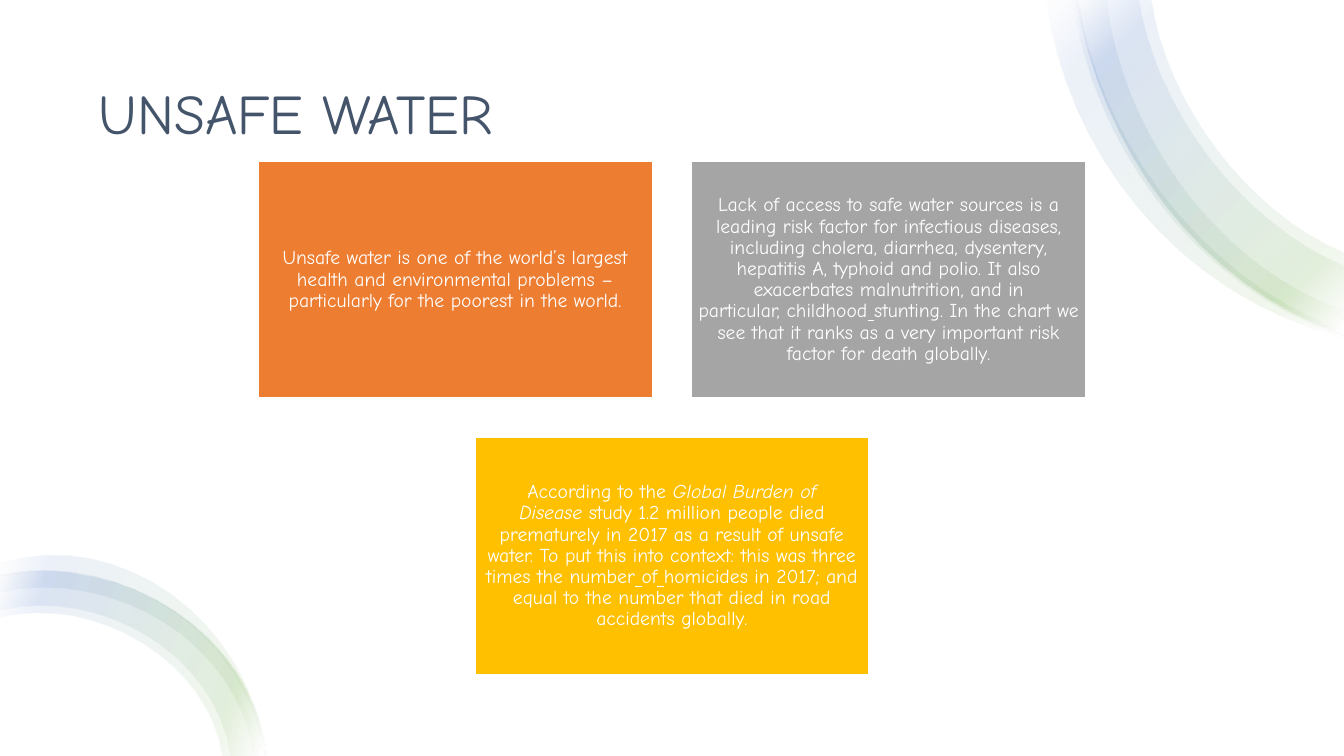
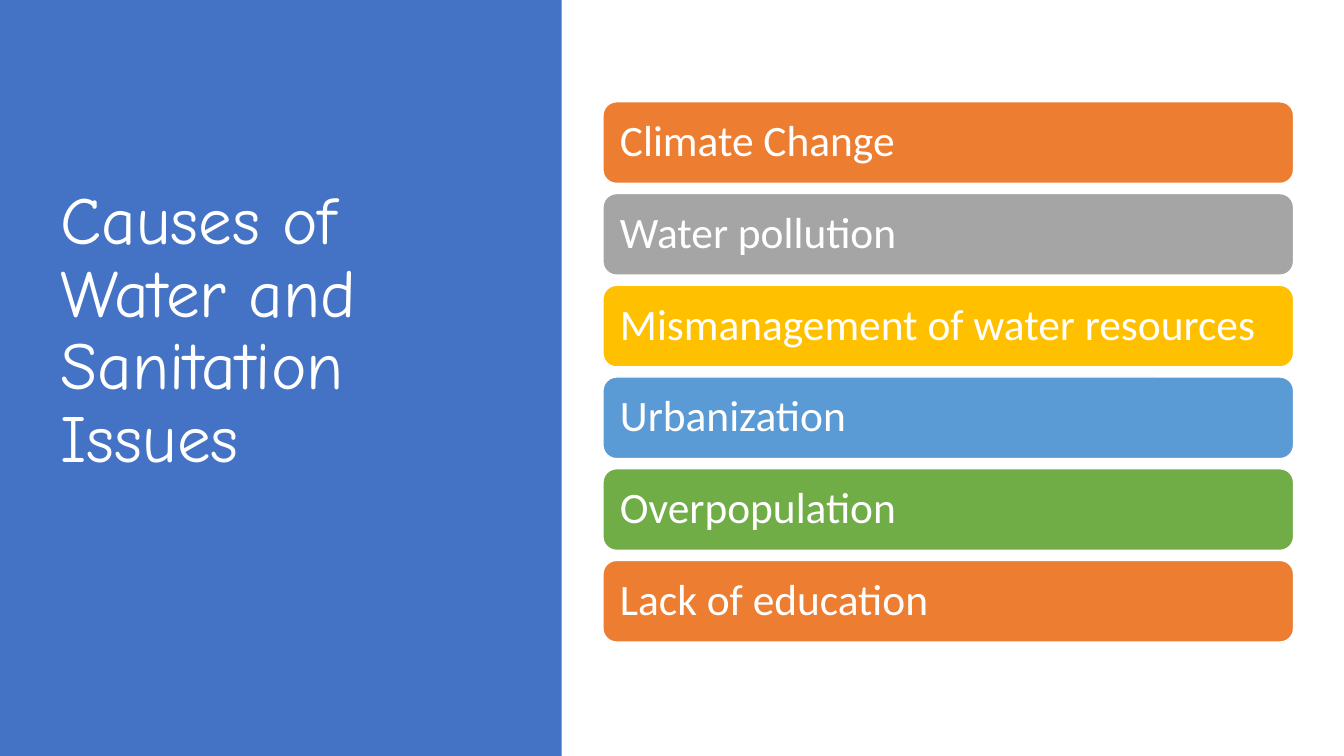
"""Build two slides on unsafe water and the causes of sanitation issues."""
import itertools

import pptx
import pptx.dml.color
import pptx.enum.shapes
import pptx.enum.text
import pptx.oxml
import pptx.oxml.ns
import pptx.util

RGB = pptx.dml.color.RGBColor
WHITE = RGB(0xFF, 0xFF, 0xFF)
NAVY = RGB(0x44, 0x54, 0x6A)
ROYAL = RGB(0x44, 0x72, 0xC4)
ORANGE = RGB(0xED, 0x7D, 0x31)
GRAY = RGB(0xA5, 0xA5, 0xA5)
GOLD = RGB(0xFF, 0xC0, 0x00)
SKY = RGB(0x5B, 0x9B, 0xD5)
GREEN = RGB(0x70, 0xAD, 0x47)
ACCENTS = (ORANGE, GRAY, GOLD, SKY, GREEN)

CELL = pptx.util.Inches(1)
COLUMNS, ROWS = 13.33, 7.5
HEADING_FONT, LIST_FONT = "Comic Neue", "Calibri"
TIE, FIXED_SPACE = "~", chr(160)
SWOOSH_STOPS = ((2, WHITE), (16, GREEN), (85, ROYAL), (100, WHITE))
SWOOSH_ALPHA = 10
CURVE_STEPS = 16

TOP_RIGHT_ARCS = (
    (((10.38, 0), (10.56, 1.45), (11.62, 2.92), (13.33, 3.35)),
     ((10.7, 0), (10.86, 1.22), (11.8, 2.73), (13.33, 3.28))),
    (((10.68, 0), (10.92, 1.46), (11.87, 2.83), (13.33, 3.32)),
     ((11.42, 0), (11.57, 1.02), (12.35, 2.09), (13.33, 2.51))),
    (((10.65, 0), (10.8, 1.35), (11.84, 2.88), (13.33, 3.33)),
     ((10.98, 0), (11.1, 1.15), (11.95, 2.6), (13.33, 3.08))),
    (((10.68, 0), (10.92, 1.46), (11.87, 2.83), (13.33, 3.32)),
     ((11.3, 0), (11.46, 1.05), (12.26, 2.18), (13.33, 2.64))),
)
BOTTOM_LEFT_ARCS = (
    (((0, 5.72), (1.2, 5.46), (2.53, 6.3), (2.63, 7.5)),
     ((0, 6.13), (0.97, 5.89), (2.08, 6.6), (2.2, 7.5))),
    (((0, 5.72), (1.2, 5.46), (2.53, 6.3), (2.63, 7.5)),
     ((0, 6.06), (1, 5.82), (2.14, 6.5), (2.28, 7.5))),
    (((0, 5.71), (1.2, 5.45), (2.47, 6.3), (2.63, 7.5)),
     ((0, 5.88), (1.13, 5.64), (2.35, 6.37), (2.51, 7.5))),
    (((0, 5.59), (1.2, 5.22), (2.46, 6.15), (2.64, 7.5)),
     ((0, 5.72), (1.2, 5.45), (2.45, 6.28), (2.62, 7.5))),
)

FACTS = (
    (2.56, 1.6, (
        ("Unsafe water is one of the world’s largest health and environmental "
         "problems – particularly for the~poorest in the world.", ""),)),
    (6.86, 1.6, (
        ("Lack of access to safe water sources is a leading risk factor for "
         "infectious diseases, including cholera,~diarrhea, dysentery, "
         "hepatitis A, typhoid and~polio.~It also exacerbates malnutrition, "
         "and in particular,~childhood", ""),
        (" ", "underline"),
        ("stunting. In the chart we see that it ranks as a very important "
         "risk factor for death globally.", ""))),
    (4.71, 4.34, (
        ("According to the~", ""),
        ("Global Burden of Disease", "italic"),
        ("~study 1.2 million people died prematurely in 2017 as a result of "
         "unsafe water. To put this into context: this was three times "
         "the~number", ""),
        (" ", "underline"),
        ("of", ""),
        (" ", "underline"),
        ("homicides~in 2017; and equal to the number that died in road "
         "accidents globally.", ""))),
)
CAUSES = ("Climate Change", "Water pollution", "Mismanagement of water resources",
          "Urbanization", "Overpopulation", "Lack of education")


def cells(*counts):
    """Turn counts of grid cells into lengths."""
    return [pptx.util.Emu(round(count * CELL)) for count in counts]


def curve(controls):
    """List points along a cubic curve."""
    points = []
    for step in range(CURVE_STEPS + 1):
        t = step / CURVE_STEPS
        weights = ((1 - t) ** 3, 3 * t * (1 - t) ** 2, 3 * t * t * (1 - t), t ** 3)
        points.append(cells(*(sum(w * c[axis] for w, c in zip(weights, controls))
                              for axis in (0, 1))))
    return points


class Deck:
    """Hold the shared style and the current slide."""

    def __init__(self):
        """Start a widescreen presentation."""
        self.show = pptx.Presentation()
        self.show.slide_width, self.show.slide_height = cells(COLUMNS, ROWS)
        self.slide = None

    def new_slide(self):
        """Add a title-only slide and make it current."""
        self.slide = self.show.slides.add_slide(self.show.slide_layouts[5])

    def style_text(self, frame, size, font, color, align, inset):
        """Format every paragraph and run of a text frame."""
        frame.word_wrap = True
        frame.auto_size = pptx.enum.text.MSO_AUTO_SIZE.NONE
        frame.vertical_anchor = pptx.enum.text.MSO_ANCHOR.MIDDLE
        frame.margin_left, frame.margin_right = cells(inset, inset)
        frame.margin_top, frame.margin_bottom = cells(0.05, 0.05)
        for paragraph in frame.paragraphs:
            paragraph.alignment = align
            paragraph.line_spacing = 0.9
            for run in paragraph.runs:
                run.font.size = pptx.util.Pt(size)
                run.font.name = font
                run.font.color.rgb = color

    def title(self, text, place, size, color):
        """Fill the title placeholder and bring it to the front."""
        heading = self.slide.shapes.title
        heading.left, heading.top, heading.width, heading.height = cells(*place)
        heading.text_frame.text = text
        self.style_text(heading.text_frame, size, HEADING_FONT, color,
                        pptx.enum.text.PP_ALIGN.LEFT, 0.1)
        heading.element.getparent().append(heading.element)

    def block(self, place, color, outlined=True, rounded=False):
        """Draw a filled rectangle."""
        kinds = pptx.enum.shapes.MSO_SHAPE
        kind = kinds.ROUNDED_RECTANGLE if rounded else kinds.RECTANGLE
        panel = self.slide.shapes.add_shape(kind, *cells(*place))
        panel.shadow.inherit = False
        panel.fill.solid()
        panel.fill.fore_color.rgb = color
        if outlined:
            panel.line.color.rgb = WHITE
            panel.line.width = pptx.util.Pt(1)
        else:
            panel.line.fill.background()
        return panel

    def card(self, place, color, pieces):
        """Draw a card with centred text in mixed styles."""
        frame = self.block(place, color).text_frame
        for text, emphasis in pieces:
            run = frame.paragraphs[0].add_run()
            run.text = text.replace(TIE, FIXED_SPACE)
            if emphasis:
                setattr(run.font, emphasis, True)
        self.style_text(frame, 14, HEADING_FONT, WHITE,
                        pptx.enum.text.PP_ALIGN.CENTER, 0.06)

    def bar(self, place, color, text):
        """Draw a rounded list bar."""
        frame = self.block(place, color, rounded=True).text_frame
        frame.text = text
        self.style_text(frame, 31, LIST_FONT, WHITE,
                        pptx.enum.text.PP_ALIGN.LEFT, 0.13)

    def swoosh(self, outer, inner, angle):
        """Draw a translucent band between two curves."""
        outline = curve(outer) + curve(inner)[::-1]
        builder = self.slide.shapes.build_freeform(*outline[0])
        builder.add_line_segments(outline[1:], close=True)
        band = builder.convert_to_shape()
        band.shadow.inherit = False
        band.line.fill.background()
        band.fill.solid()
        stops = "".join(
            f'<a:gs pos="{share * 1000}"><a:srgbClr val="{color}">'
            f'<a:alpha val="{SWOOSH_ALPHA * 1000}"/></a:srgbClr></a:gs>'
            for share, color in SWOOSH_STOPS)
        gradient = pptx.oxml.parse_xml(
            f'<a:gradFill {pptx.oxml.ns.nsdecls("a")} rotWithShape="1">'
            f'<a:gsLst>{stops}</a:gsLst>'
            f'<a:lin ang="{angle * 60000}" scaled="0"/></a:gradFill>')
        properties = band.element.spPr
        properties.replace(properties.find(pptx.oxml.ns.qn("a:solidFill")), gradient)


def unsafe_water(deck):
    """Build the slide with three fact cards."""
    deck.new_slide()
    deck.block((0, 0, COLUMNS, ROWS), WHITE, outlined=False)
    deck.title("UNSAFE WATER", (0.88, 0.5, 11.57, 1.3), 40, NAVY)
    for arcs, angle in ((TOP_RIGHT_ARCS, 225), (BOTTOM_LEFT_ARCS, 200)):
        for outer, inner in arcs:
            deck.swoosh(outer, inner, angle)
    for (left, top, pieces), color in zip(FACTS, ACCENTS):
        deck.card((left, top, 3.91, 2.35), color, pieces)


def causes(deck):
    """Build the slide that lists the causes."""
    deck.new_slide()
    deck.block((0, 0, 5.57, ROWS), ROYAL, outlined=False)
    deck.title("Causes of Water and Sanitation Issues", (0.5, 0.28, 4.16, 6.02),
               48, WHITE)
    first_top, last_top = 1.01, 5.56
    pitch = (last_top - first_top) / (len(CAUSES) - 1)
    for row, (cause, color) in enumerate(zip(CAUSES, itertools.cycle(ACCENTS))):
        deck.bar((5.98, first_top + row * pitch, 6.85, 0.81), color, cause)


def main():
    """Build and save the presentation."""
    deck = Deck()
    unsafe_water(deck)
    causes(deck)
    deck.show.save("out.pptx")


if __name__ == "__main__":
    main()
